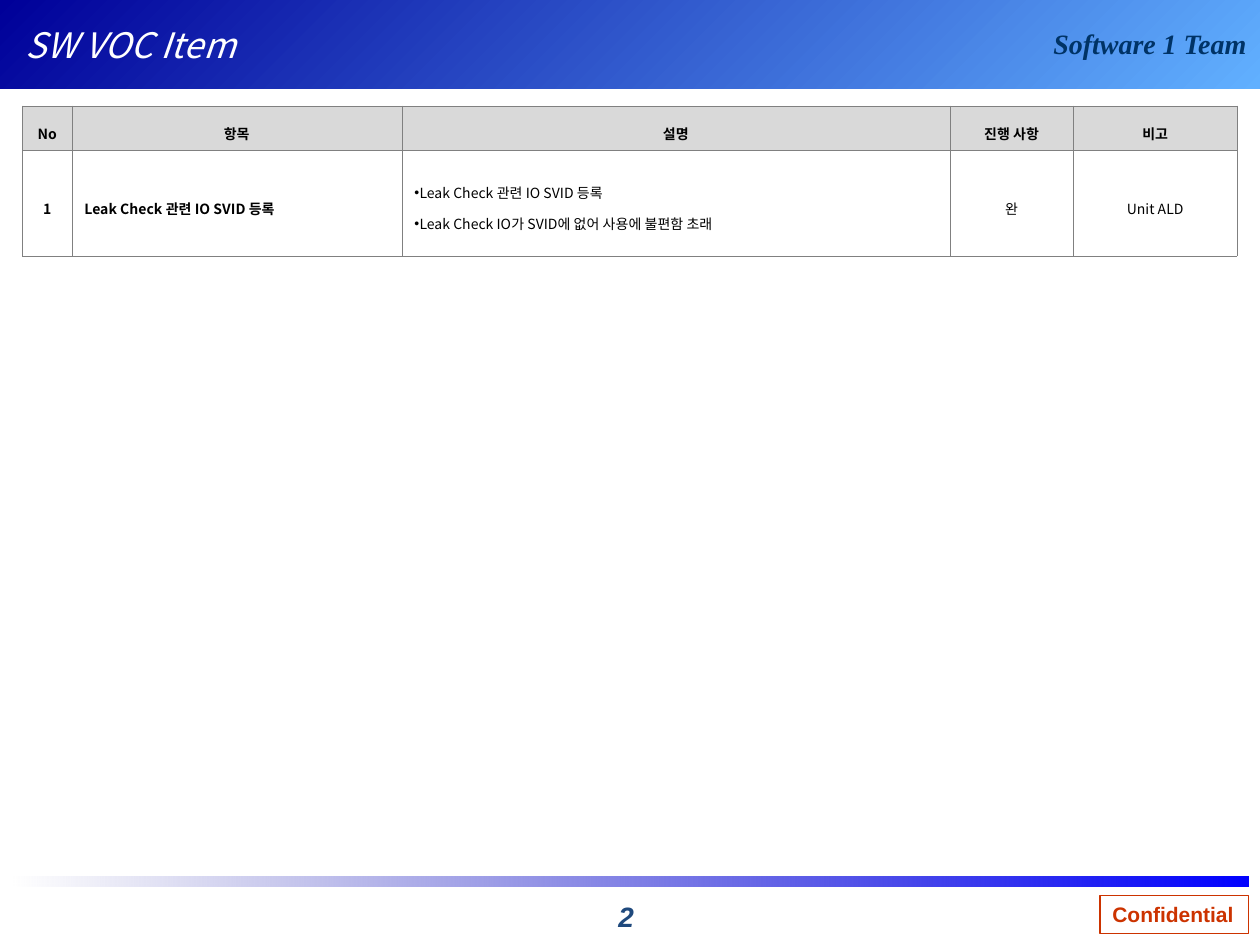
from dataclasses import dataclass
from lxml.etree import SubElement, fromstring
from pptx import Presentation
from pptx.dml.color import RGBColor
from pptx.enum.shapes import MSO_SHAPE
from pptx.enum.text import MSO_ANCHOR, PP_ALIGN
from pptx.oxml.ns import nsdecls, qn
from pptx.util import Inches, Pt


@dataclass(frozen=True)
class Theme:
    navy: str = "000099"
    blue: str = "0000FF"
    sky: str = "61B0FF"
    team: str = "003366"
    number: str = "1F497D"
    red: str = "CC3300"
    white: str = "FFFFFF"
    black: str = "000000"
    header: str = "D9D9D9"
    border: str = "808080"
    title_size: int = 20
    label_size: int = 16
    stamp_size: int = 12
    table_size: int = 8
    korean: str = "Noto Sans CJK KR"
    sans: str = "Arial"
    serif: str = "Times New Roman"


T = Theme()


def add_text(p, text, size, font, color, bold=False, italic=False):
    r = p.add_run()
    r.text = text
    r.font.size = Pt(size)
    r.font.bold = bold
    r.font.italic = italic
    r.font.color.rgb = RGBColor.from_string(color)
    r.font.name = font
    SubElement(r.font._element, qn("a:ea"), typeface=font)
    return r


def set_margins(tf, left, top, right, bottom):
    tf.margin_left, tf.margin_top = Inches(left), Inches(top)
    tf.margin_right, tf.margin_bottom = Inches(right), Inches(bottom)


prs = Presentation()
prs.slide_width = Inches(10)
prs.slide_height = Inches(7.5)
s = prs.slides.add_slide(prs.slide_layouts[6])

bars = [
    ((0.08, 6.96, 9.83, 0.08), T.navy, T.blue, 0, True),
    ((0, 0, 10, 0.7), T.navy, T.sky, 315, False),
]
for box, start, end, angle, fades in bars:
    sp = s.shapes.add_shape(MSO_SHAPE.RECTANGLE, *map(Inches, box))
    sp.shadow.inherit = False
    sp.line.fill.background()
    sp.fill.gradient()
    sp.fill.gradient_angle = angle
    for stop, color in zip(sp.fill.gradient_stops, (start, end)):
        stop.color.rgb = RGBColor.from_string(color)
    if fades:
        first_color = sp._element.spPr.find(".//" + qn("a:srgbClr"))
        SubElement(first_color, qn("a:alpha"), val="0")

labels = [
    ("2", (4.73, 7.09, 0.48, 0.37), 0.1, PP_ALIGN.CENTER, T.sans, T.number),
    ("Software 1 Team", (8.34, 0.16, 1.65, 0.37), 0, PP_ALIGN.RIGHT, T.serif, T.team),
]
for text, box, left, align, font, color in labels:
    tf = s.shapes.add_textbox(*map(Inches, box)).text_frame
    tf.word_wrap = False
    set_margins(tf, left, 0.05, 0.1, 0.05)
    p = tf.paragraphs[0]
    p.alignment = align
    add_text(p, text, T.label_size, font, color, bold=True, italic=True)

stamp = s.shapes.add_shape(
    MSO_SHAPE.RECTANGLE, Inches(8.73), Inches(7.11), Inches(1.18), Inches(0.3))
stamp.shadow.inherit = False
stamp.fill.solid()
stamp.fill.fore_color.rgb = RGBColor.from_string(T.white)
stamp.line.color.rgb = RGBColor.from_string(T.red)
stamp.line.width = Pt(0.75)
tf = stamp.text_frame
tf.word_wrap = False
tf.vertical_anchor = MSO_ANCHOR.TOP
set_margins(tf, 0.1, 0.05, 0.1, 0.05)
p = tf.paragraphs[0]
p.alignment = PP_ALIGN.LEFT
add_text(p, "Confidential", T.stamp_size, T.sans, T.red, bold=True)

title = s.shapes.add_textbox(0, 0, Inches(10), Inches(0.7))
tf = title.text_frame
tf.word_wrap = True
tf.vertical_anchor = MSO_ANCHOR.MIDDLE
set_margins(tf, 0.2, 0.04, 0.1, 0.04)
r = add_text(tf.paragraphs[0], "SW VOC Item", T.title_size, T.korean, T.white, italic=True)
r.font._element.find(qn("a:solidFill")).addnext(fromstring(
    f'<a:effectLst {nsdecls("a")}><a:outerShdw blurRad="38100" dist="38100" dir="2700000">'
    f'<a:srgbClr val="{T.black}"/></a:outerShdw></a:effectLst>'))

columns = [0.39, 2.62, 4.35, 0.98, 1.3]
row_heights = [0.35, 0.84]
rows = [
    [["No"], ["항목"], ["설명"], ["진행 사항"], ["비고"]],
    [["1"], ["Leak Check 관련 IO SVID 등록"],
     ["Leak Check 관련 IO SVID 등록", "Leak Check IO가 SVID에 없어 사용에 불편함 초래"],
     ["완"], ["Unit ALD"]],
]
table = s.shapes.add_table(
    len(rows), len(columns), Inches(0.18), Inches(0.84),
    Inches(sum(columns)), Inches(sum(row_heights))).table
for column, width in zip(table.columns, columns):
    column.width = Inches(width)
for row, height in zip(table.rows, row_heights):
    row.height = Inches(height)

for i, row in enumerate(rows):
    for j, lines in enumerate(row):
        cell = table.cell(i, j)
        cell.vertical_anchor = MSO_ANCHOR.MIDDLE
        set_margins(cell, 0.1, 0.05, 0.1, 0.05)
        tcPr = cell._tc.get_or_add_tcPr()
        for side in ("lnL", "lnR", "lnT", "lnB"):
            ln = SubElement(tcPr, qn(f"a:{side}"), w=str(Pt(0.25)))
            fill = SubElement(ln, qn("a:solidFill"))
            SubElement(fill, qn("a:srgbClr"), val=T.border)
        if i == 0:
            cell.fill.solid()
            cell.fill.fore_color.rgb = RGBColor.from_string(T.header)
        else:
            cell.fill.background()
        left_aligned = i == 1 and j in (1, 2)
        for k, text in enumerate(lines):
            p = cell.text_frame.paragraphs[0] if k == 0 else cell.text_frame.add_paragraph()
            p.alignment = PP_ALIGN.LEFT if left_aligned else PP_ALIGN.CENTER
            p.line_spacing = 1.5
            if i == 1 and j == 2:
                pPr = p._p.get_or_add_pPr()
                pPr.set("marL", str(Inches(0.04)))
                pPr.set("indent", str(Inches(-0.12)))
                SubElement(pPr, qn("a:buFont"), typeface=T.sans)
                SubElement(pPr, qn("a:buChar"), char="•")
            add_text(p, text, T.table_size, T.korean, T.black, bold=i == 0 or j < 2)

prs.save("out.pptx")
